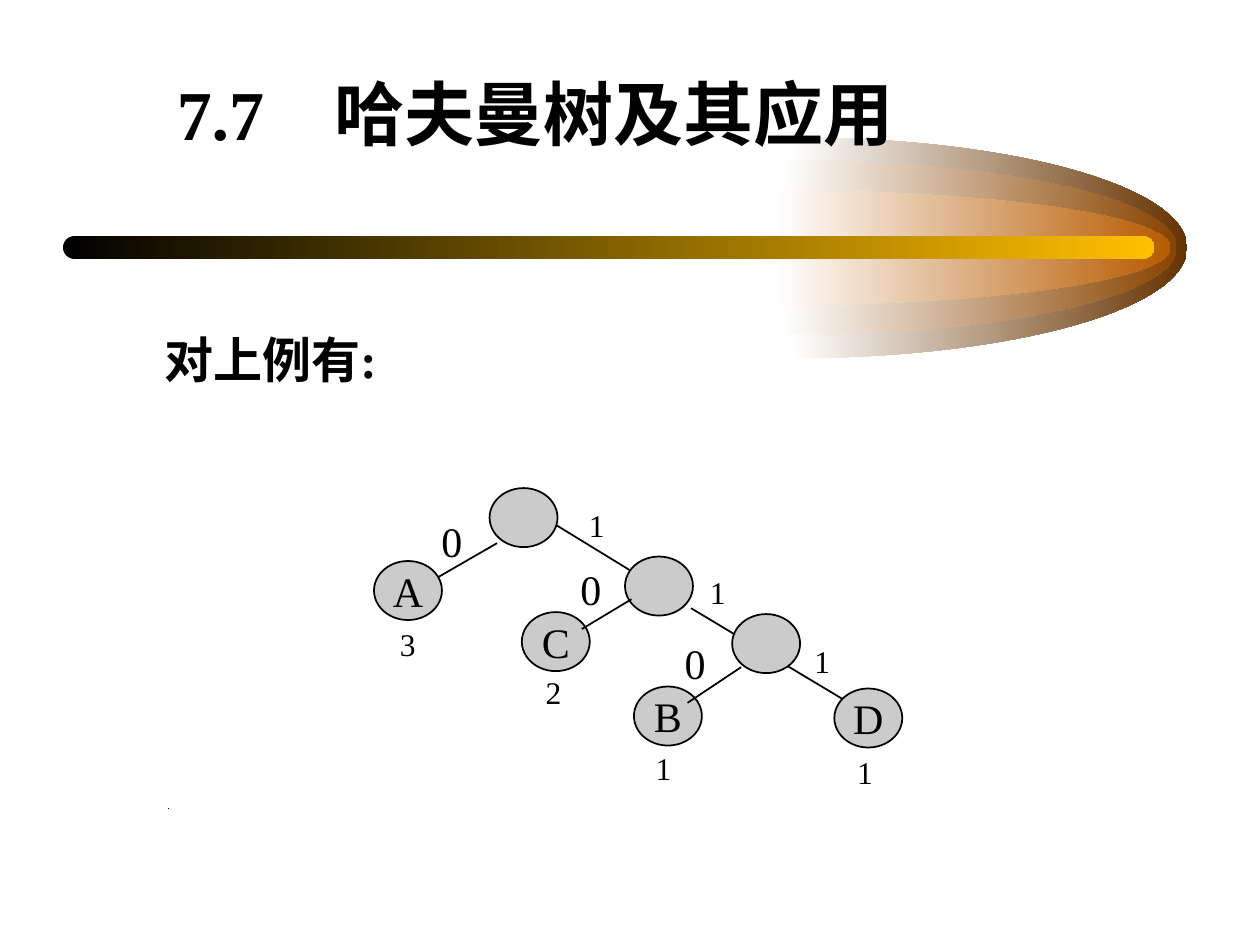
from dataclasses import dataclass

from lxml import etree
from pptx import Presentation
from pptx import util as u
from pptx.dml import color as col
from pptx.enum import shapes, text
from pptx.oxml import ns


@dataclass(frozen=True)
class Theme:
    font: str = "Times New Roman"
    ink: str = "000000"
    pale: str = "FFFFFF"
    gold: str = "FFBF00"
    disc: str = "CBCBCB"
    head: int = 40
    lead: int = 28
    big: int = 24
    small: int = 18
    rule: int = 1


@dataclass(frozen=True)
class Box:
    x: float
    y: float
    w: float
    h: float

    def emu(self) -> list:
        return [u.Cm(v) for v in (self.x, self.y, self.w, self.h)]


@dataclass(frozen=True)
class Glow:
    box: Box
    tint: str


@dataclass(frozen=True)
class Node:
    x: float
    y: float
    name: str = ""


@dataclass(frozen=True)
class Edge:
    x1: float
    y1: float
    x2: float
    y2: float


@dataclass(frozen=True)
class Label:
    word: str
    x: float
    y: float
    w: float


LOOK = Theme()
MID = 4.99
NODE_W, NODE_H = 1.37, 1.19
GLOWS = [
    Glow(Box(15.98, MID - 2.22, 7.95, 4.45), "663300"),
    Glow(Box(15.77, MID - 1.76, 7.95, 3.53), "894400"),
    Glow(Box(15.65, MID - 1.15, 7.95, 2.31), "B75B00"),
]
NODES = [
    Node(9.87, 9.84),
    Node(7.54, 11.31, "A"),
    Node(10.52, 12.34, "C"),
    Node(12.6, 11.22),
    Node(14.76, 12.38),
    Node(12.78, 13.84, "B"),
    Node(16.82, 13.88, "D"),
]
UNDER = [
    Edge(10.02, 10.95, 8.79, 11.66),
    Edge(11.22, 10.59, 12.69, 11.49),
    Edge(13.93, 12.26, 17.2, 14.22),
]
OVER = [
    Edge(12.73, 12.08, 11.73, 12.68),
    Edge(14.94, 13.45, 13.86, 14.17),
]
DOT = Edge(3.38, 16.3, 3.4, 16.3)
ZEROS = [
    Label("0", 8.65, 10.26, 0.79),
    Label("0", 11.45, 11.24, 1.14),
    Label("0", 13.55, 12.73, 1.09),
]
ONES = [
    Label("1", 11.62, 10.08, 0.79),
    Label("1", 14.06, 11.43, 1.04),
    Label("1", 16.17, 12.81, 1.14),
]
WEIGHTS = [
    Label("3", 7.81, 12.47, 1.07),
    Label("2", 10.75, 13.44, 0.99),
    Label("1", 12.97, 14.97, 0.99),
    Label("1", 17.03, 15.06, 0.99),
]


def rgb(code: str) -> col.RGBColor:
    return col.RGBColor.from_string(code)


def write(frame, words: str, *, size: int, bold: bool = False, wrap: bool = True,
          fit=text.MSO_AUTO_SIZE.NONE, align=text.PP_ALIGN.LEFT,
          anchor=text.MSO_ANCHOR.TOP) -> None:
    frame.word_wrap = wrap
    frame.auto_size = fit
    frame.vertical_anchor = anchor
    para = frame.paragraphs[0]
    para.alignment = align
    run = para.add_run()
    run.text = words
    run.font.name = LOOK.font
    run.font.size = u.Pt(size)
    run.font.bold = bold
    run.font.color.rgb = rgb(LOOK.ink)


def blend(shape, start: str, end: str) -> None:
    shape.shadow.inherit = False
    shape.line.fill.background()
    shape.fill.gradient()
    shape.fill.gradient_angle = 0
    for stop, code, place in zip(shape.fill.gradient_stops, (start, end), (0, 1)):
        stop.color.rgb = rgb(code)
        stop.position = place


def draw_glow(pool, glow: Glow) -> None:
    x, y, w, h = glow.box.emu()
    pen = pool.build_freeform(x, y)
    pen.add_line_segments([(x + w, y + h // 2), (x, y + h)], close=True)
    half = pen.convert_to_shape()
    trail = half._element.find(".//" + ns.qn("a:path"))
    for step in list(trail):
        trail.remove(step)
    moves = [
        ("moveTo", [(0, 0)]),
        ("cubicBezTo", [(0.55, 0), (1, 0.22), (1, 0.5)]),
        ("cubicBezTo", [(1, 0.78), (0.55, 1), (0, 1)]),
        ("lnTo", [(0, 0.5)]),
        ("close", []),
    ]
    for kind, spots in moves:
        step = etree.SubElement(trail, ns.qn("a:" + kind))
        for a, b in spots:
            etree.SubElement(step, ns.qn("a:pt"), x=str(int(a * w)), y=str(int(b * h)))
    blend(half, LOOK.pale, glow.tint)


def draw_bar(pool, box: Box) -> None:
    bar = pool.add_shape(shapes.MSO_SHAPE.ROUNDED_RECTANGLE, *box.emu())
    bar.adjustments[0] = 0.5
    blend(bar, LOOK.ink, LOOK.gold)


def draw_edge(pool, edge: Edge) -> None:
    ends = [u.Cm(v) for v in (edge.x1, edge.y1, edge.x2, edge.y2)]
    line = pool.add_connector(shapes.MSO_CONNECTOR.STRAIGHT, *ends)
    line.line.color.rgb = rgb(LOOK.ink)
    line.line.width = u.Pt(LOOK.rule)
    etree.SubElement(line._element.spPr, ns.qn("a:effectLst"))


def draw_node(pool, node: Node) -> None:
    box = Box(node.x, node.y, NODE_W, NODE_H)
    disc = pool.add_shape(shapes.MSO_SHAPE.OVAL, *box.emu())
    disc.shadow.inherit = False
    disc.fill.solid()
    disc.fill.fore_color.rgb = rgb(LOOK.disc)
    disc.line.color.rgb = rgb(LOOK.ink)
    disc.line.width = u.Pt(LOOK.rule)
    if node.name:
        write(disc.text_frame, node.name, size=LOOK.big, wrap=False,
              align=text.PP_ALIGN.CENTER, anchor=text.MSO_ANCHOR.MIDDLE)


def draw_text(pool, words: str, box: Box, **form) -> None:
    write(pool.add_textbox(*box.emu()).text_frame, words,
          fit=text.MSO_AUTO_SIZE.SHAPE_TO_FIT_TEXT, **form)


def draw_title(slide, box: Box) -> None:
    title = slide.shapes.title
    title.left, title.top, title.width, title.height = box.emu()
    for words, bold in (("　", False), ("7.7　哈夫曼树及其应用", True)):
        write(title.text_frame, words, size=LOOK.head, bold=bold,
              anchor=text.MSO_ANCHOR.BOTTOM)
    slide.shapes._spTree.append(title._element)


def main() -> None:
    deck = Presentation()
    deck.slide_width, deck.slide_height = u.Cm(25.4), u.Cm(19.05)
    slide = deck.slides.add_slide(deck.slide_layouts[5])
    band = slide.shapes.add_group_shape().shapes
    for glow in GLOWS:
        draw_glow(band, glow)
    draw_bar(band, Box(1.27, MID - 0.23, 22, 0.46))
    draw_title(slide, Box(1.9, 1.46, 21.59, 1.78))
    draw_edge(slide.shapes, DOT)
    draw_text(slide.shapes, "对上例有:", Box(3.07, 6.52, 5.74, 1.45),
              size=LOOK.lead, bold=True)
    tree = slide.shapes.add_group_shape().shapes
    for edge in UNDER:
        draw_edge(tree, edge)
    for node in NODES:
        draw_node(tree, node)
    for edge in OVER:
        draw_edge(tree, edge)
    for marks, size, high in ((ZEROS, LOOK.big, 1.27), (ONES + WEIGHTS, LOOK.small, 1.02)):
        for mark in marks:
            draw_text(tree, mark.word, Box(mark.x, mark.y, mark.w, high), size=size)
    deck.save("out.pptx")


if __name__ == "__main__":
    main()
